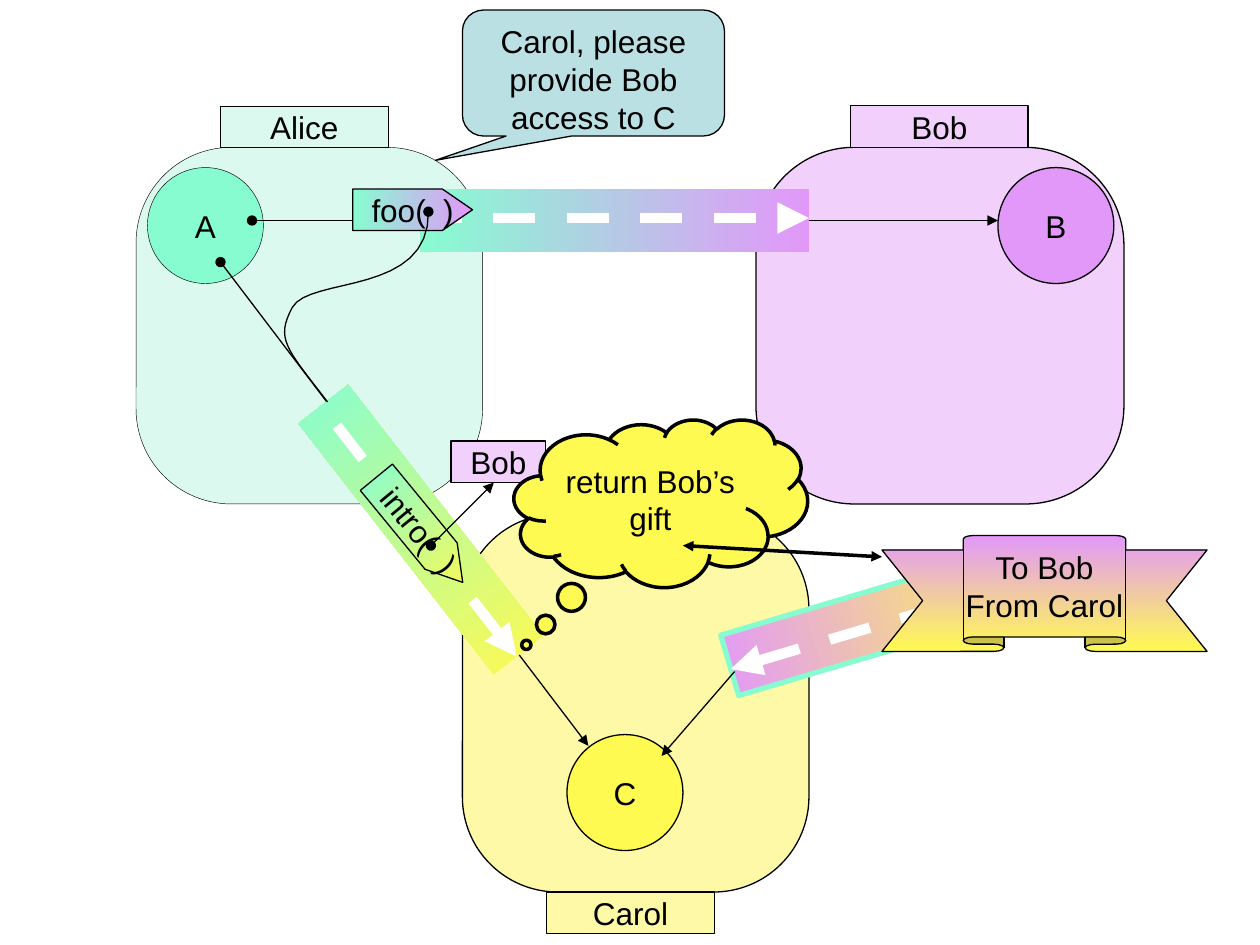
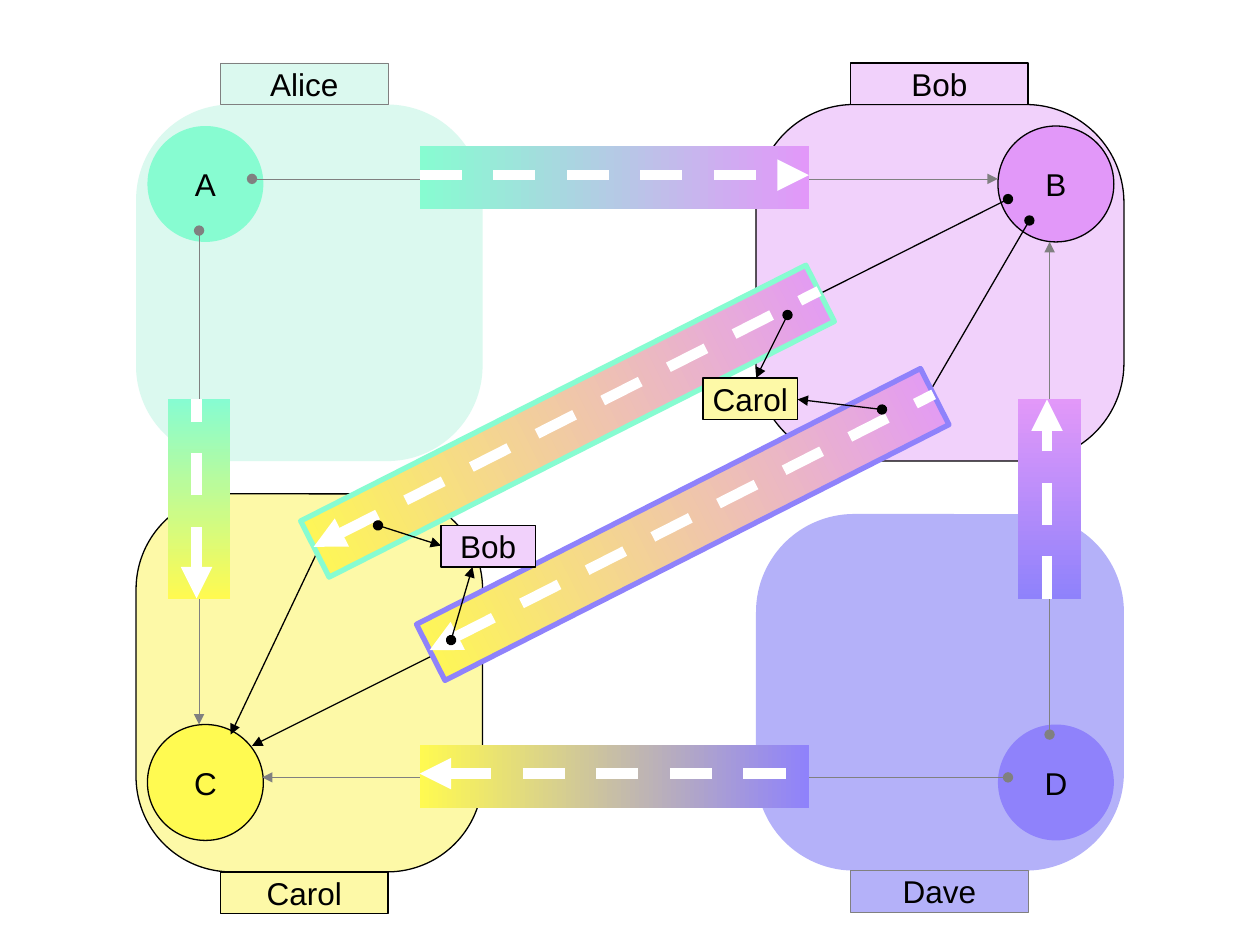
from collections import namedtuple
from math import atan2, degrees, hypot

from lxml.etree import SubElement
from pptx import Presentation
from pptx.dml.color import RGBColor
from pptx.enum.dml import MSO_LINE
from pptx.enum.shapes import MSO_CONNECTOR, MSO_SHAPE
from pptx.enum.text import MSO_ANCHOR, PP_ALIGN
from pptx.oxml.ns import qn
from pptx.util import Inches, Pt

BLACK = RGBColor(0x00, 0x00, 0x00)
WHITE = RGBColor(0xFF, 0xFF, 0xFF)
GRAY = RGBColor(0x80, 0x80, 0x80)
MINT = RGBColor(0x87, 0xFC, 0xD1)
PINK = RGBColor(0xE2, 0x98, 0xF9)
YELLOW = RGBColor(0xFF, 0xFA, 0x51)
BLUE = RGBColor(0x8F, 0x82, 0xFB)
PALE_MINT = RGBColor(0xDB, 0xF9, 0xEF)
PALE_PINK = RGBColor(0xF1, 0xD1, 0xFB)
PALE_YELLOW = RGBColor(0xFD, 0xF9, 0xA7)
PALE_BLUE = RGBColor(0xB4, 0xB1, 0xF9)
TEAL = RGBColor(0xBB, 0xE0, 0xE3)

Edge = namedtuple("Edge", "color width")
FIRM = Edge(BLACK, 0.75)
THIN = Edge(BLACK, 0.25)
FAINT = Edge(GRAY, 0.25)
BOLD = Edge(BLACK, 2)
LANE = Edge(WHITE, 6)

Person = namedtuple("Person", "letter name pale strong width height tag_left tag_width on_top")
ALICE = Person("A", "Alice", PALE_MINT, MINT, 2.75, 2.83, 0.67, 1.33, True)
BOB = Person("B", "Bob", PALE_PINK, PINK, 2.92, 2.83, 0.75, 1.41, True)
CAROL = Person("C", "Carol", PALE_YELLOW, YELLOW, 2.75, 3, 0.67, 1.33, False)
DAVE = Person("D", "Dave", PALE_BLUE, BLUE, 2.92, 2.83, 0.75, 1.41, False)

TAG = 0.33
DISC = 0.92
PIPE = 0.5


def paint(shape, fill, edge):
    """Fill with a colour, a (left, right) or (top, bottom, angle) blend, or nothing."""
    shape.shadow.inherit = False
    if fill is None:
        shape.fill.background()
    elif isinstance(fill, RGBColor):
        shape.fill.solid()
        shape.fill.fore_color.rgb = fill
    else:
        first, last, *angle = fill
        shape.fill.gradient()
        shape.fill.gradient_angle = angle[0] if angle else 0
        for stop, color in zip(shape.fill.gradient_stops, (first, last)):
            stop.color.rgb = color
    if edge:
        shape.line.color.rgb = edge.color
        shape.line.width = Pt(edge.width)
    else:
        shape.line.fill.background()


def write(shape, text, wrap=False, anchor=MSO_ANCHOR.MIDDLE):
    frame = shape.text_frame
    frame.text = text
    frame.word_wrap = wrap
    frame.vertical_anchor = anchor
    for paragraph in frame.paragraphs:
        paragraph.alignment = PP_ALIGN.CENTER
        paragraph.font.name = "Arial"
        paragraph.font.size = Pt(18)
        paragraph.font.color.rgb = BLACK


def add_box(slide, kind, at, fill, edge, text=None, adjust=(), **layout):
    shape = slide.shapes.add_shape(kind, *map(Inches, at))
    for index, value in enumerate(adjust):
        shape.adjustments[index] = value
    paint(shape, fill, edge)
    if text:
        write(shape, text, **layout)
    return shape


def add_ends(line, head, tail):
    for tag, kind in (("a:headEnd", head), ("a:tailEnd", tail)):
        if kind:
            SubElement(line.line._get_or_add_ln(), qn(tag), type=kind)


def add_link(slide, start, end, edge=FIRM, head="oval", tail="triangle", dash=False):
    link = slide.shapes.add_connector(MSO_CONNECTOR.STRAIGHT, *map(Inches, start + end))
    link.line.color.rgb = edge.color
    link.line.width = Pt(edge.width)
    if dash:
        link.line.dash_style = MSO_LINE.DASH
    add_ends(link, head, tail)
    SubElement(link._element.spPr, qn("a:effectLst"))


def add_pipe(slide, start, end, blend, tip="head", edge=None, gap=0.02):
    """Blended bar along a dashed lane; gap moves the bar sideways off the lane."""
    dx, dy = end[0] - start[0], end[1] - start[1]
    length = hypot(dx, dy)
    mid_x = (start[0] + end[0]) / 2 - gap * dy / length
    mid_y = (start[1] + end[1]) / 2 + gap * dx / length
    at = (mid_x - length / 2, mid_y - PIPE / 2, length, PIPE)
    bar = add_box(slide, MSO_SHAPE.RECTANGLE, at, blend, edge)
    bar.rotation = degrees(atan2(dy, dx)) % 360
    head, tail = ("triangle", None) if tip == "head" else (None, "triangle")
    add_link(slide, start, end, LANE, head, tail, dash=True)


def add_tag(slide, text, left, top, fill, edge=FIRM, width=0.75):
    add_box(slide, MSO_SHAPE.RECTANGLE, (left, top, width, TAG), fill, edge, text)


def add_house(slide, person, left, top, disc, edge=FIRM, tag_edge=FIRM):
    at = (left, top, person.width, person.height)
    add_box(slide, MSO_SHAPE.ROUNDED_RECTANGLE, at, person.pale, edge, adjust=[0.275])
    add_box(slide, MSO_SHAPE.OVAL, disc + (DISC, DISC), person.strong, edge, person.letter)
    tag_top = top - TAG if person.on_top else top + person.height
    add_tag(slide, person.name, left + person.tag_left, tag_top,
            person.pale, tag_edge, person.tag_width)


def add_outline(slide, points, close):
    first, *rest = [tuple(map(Inches, point)) for point in points]
    pen = slide.shapes.build_freeform(*first)
    pen.add_line_segments(rest, close=close)
    return pen.convert_to_shape()


def add_call(slide, text, left, top, width, point, blend, turn=0):
    """Message pennant whose right end narrows over the length of point."""
    right, bottom, neck = left + width, top + TAG, left + width - point
    flag = add_outline(slide, [(left, top), (neck, top), (right, top + TAG / 2),
                               (neck, bottom), (left, bottom)], True)
    paint(flag, blend, FIRM)
    write(flag, text)
    flag.rotation = turn


def bend(a, b, c, d, steps=16):
    """Points on a cubic curve, its start left out."""
    for step in range(1, steps + 1):
        t = step / steps
        s = 1 - t
        yield tuple(s**3 * p + 3 * s * s * t * q + 3 * s * t * t * r + t**3 * u
                    for p, q, r, u in zip(a, b, c, d))


def add_thread(slide):
    """Curve from the foo argument to the lane towards Carol."""
    start, middle, end = (3.4, 1.68), (2.32, 2.44), (2.6, 3.19)
    points = [start, *bend(start, (3.41, 2.35), (2.46, 2.19), middle),
              *bend(middle, (2.19, 2.69), (2.26, 2.75), end)]
    thread = add_outline(slide, points, False)
    paint(thread, None, FIRM)
    add_ends(thread, "oval", None)


def draw_intro(slide):
    add_house(slide, CAROL, 3.67, 4.08, (4.5, 5.83))
    add_house(slide, BOB, 6, 1.17, (7.92, 1.33))
    add_house(slide, ALICE, 1.08, 1.17, (1.17, 1.33), THIN, THIN)

    add_link(slide, (2, 1.75), (7.92, 1.75))
    add_link(slide, (1.75, 2.08), (4.67, 5.92))
    add_pipe(slide, (3.33, 1.73), (6.42, 1.73), (MINT, PINK), "tail")
    add_pipe(slide, (4.1, 5.21), (2.55, 3.22), (YELLOW, MINT))
    add_pipe(slide, (5.8, 5.31), (8.22, 4.59), (PINK, YELLOW), edge=Edge(MINT, 3), gap=-0.03)

    add_call(slide, "intro(  )", 2.79, 4.04, 1.08, 0.27, (MINT, YELLOW), 50.6)
    add_tag(slide, "Bob", 3.58, 3.5, PALE_PINK)
    add_link(slide, (3.42, 4.33), (3.92, 3.83))
    add_box(slide, MSO_SHAPE.CLOUD_CALLOUT, (4.08, 3.33, 2.33, 1.33), YELLOW, BOLD,
            "return Bob’s\ngift", (-0.458, 0.845))
    add_box(slide, MSO_SHAPE.UP_RIBBON, (7, 4.25, 2.58, 0.92), (PINK, YELLOW, 270), FIRM,
            "To Bob\nFrom Carol", (0.125, 0.5))
    add_link(slide, (5.42, 4.33), (7, 4.42), BOLD, head="triangle")
    add_link(slide, (5.83, 5.33), (5.25, 6), head=None)
    add_box(slide, MSO_SHAPE.ROUNDED_RECTANGULAR_CALLOUT, (3.67, 0.08, 2.08, 1), TEAL, FIRM,
            "Carol, please provide Bob access to C", (-0.603, 0.693, 0.167),
            wrap=True, anchor=MSO_ANCHOR.TOP)
    add_call(slide, "foo(  )", 2.8, 1.5, 0.95, 0.24, (MINT, PINK))
    add_thread(slide)


def draw_joined(slide):
    add_house(slide, BOB, 6, 0.83, (7.92, 1))
    add_house(slide, CAROL, 1.08, 3.92, (1.17, 5.75))
    add_house(slide, ALICE, 1.08, 0.83, (1.17, 1), None, FAINT)
    add_house(slide, DAVE, 6, 4.08, (7.92, 5.75), None, FAINT)

    for start, end in (((2, 1.42), (7.92, 1.42)), ((8, 6.17), (2.08, 6.17)),
                       ((8.33, 5.83), (8.33, 1.92)), ((1.58, 1.83), (1.58, 5.75))):
        add_link(slide, start, end, FAINT)
    for start, end in (((8, 1.58), (6.33, 2.42)), ((2.58, 4.25), (1.83, 5.83)),
                       ((8.17, 1.75), (7.25, 3.33)), ((3.5, 5.17), (2, 5.92))):
        add_link(slide, start, end)

    add_pipe(slide, (3.33, 1.39), (6.42, 1.39), (MINT, PINK), "tail")
    add_pipe(slide, (3.33, 6.14), (6.42, 6.14), (YELLOW, BLUE))
    add_pipe(slide, (8.31, 4.75), (8.31, 3.17), (BLUE, PINK), "tail")
    add_pipe(slide, (1.56, 4.75), (1.56, 3.17), (YELLOW, MINT))
    add_pipe(slide, (2.49, 4.34), (6.5, 2.31), (YELLOW, PINK), edge=Edge(MINT, 3))
    add_pipe(slide, (3.41, 5.16), (7.41, 3.13), (YELLOW, PINK), edge=Edge(BLUE, 3))

    add_tag(slide, "Bob", 3.5, 4.17, PALE_PINK)
    add_tag(slide, "Carol", 5.58, 3, PALE_YELLOW)
    for start, end in (((3, 4.17), (3.5, 4.33)), ((3.58, 5.08), (3.75, 4.5)),
                       ((6.25, 2.5), (6, 3)), ((7, 3.25), (6.33, 3.17))):
        add_link(slide, start, end)


def main():
    deck = Presentation()
    deck.slide_width, deck.slide_height = Inches(10), Inches(7.5)
    for draw in (draw_intro, draw_joined):
        draw(deck.slides.add_slide(deck.slide_layouts[6]))
    deck.save("out.pptx")


if __name__ == "__main__":
    main()
